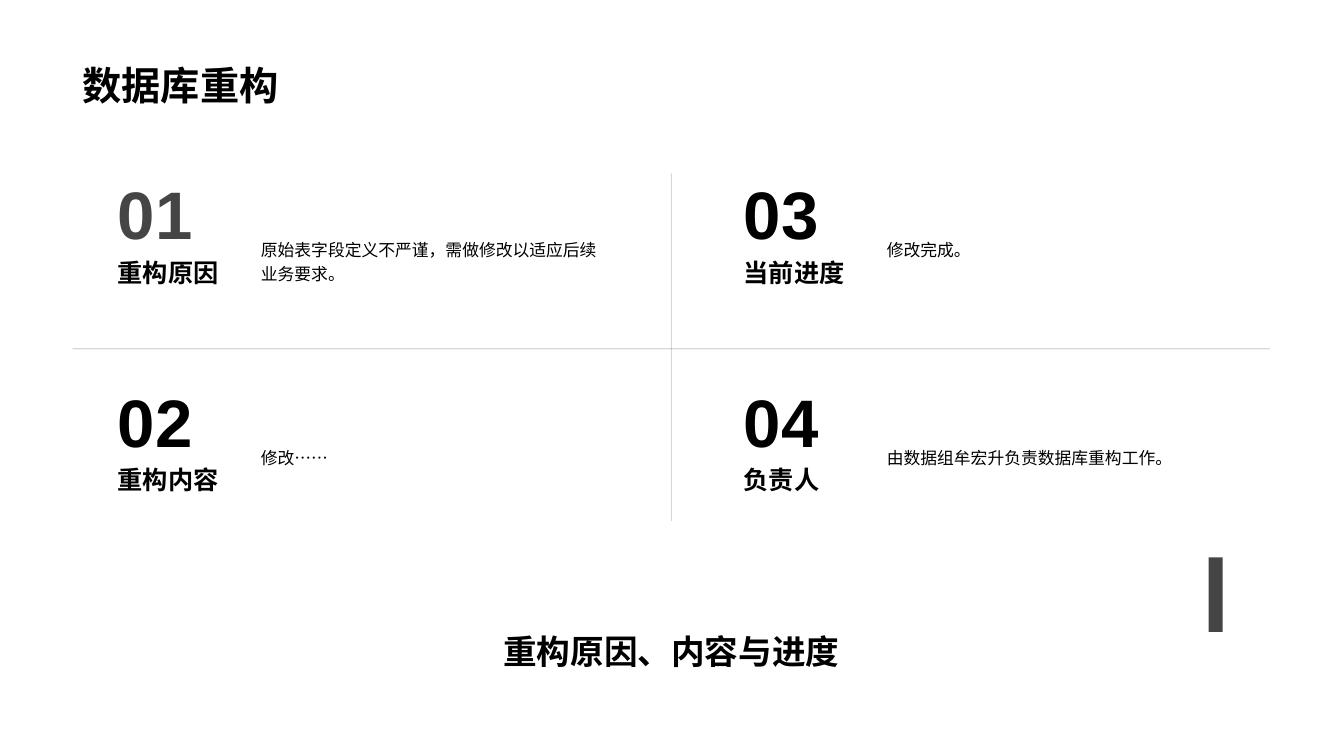
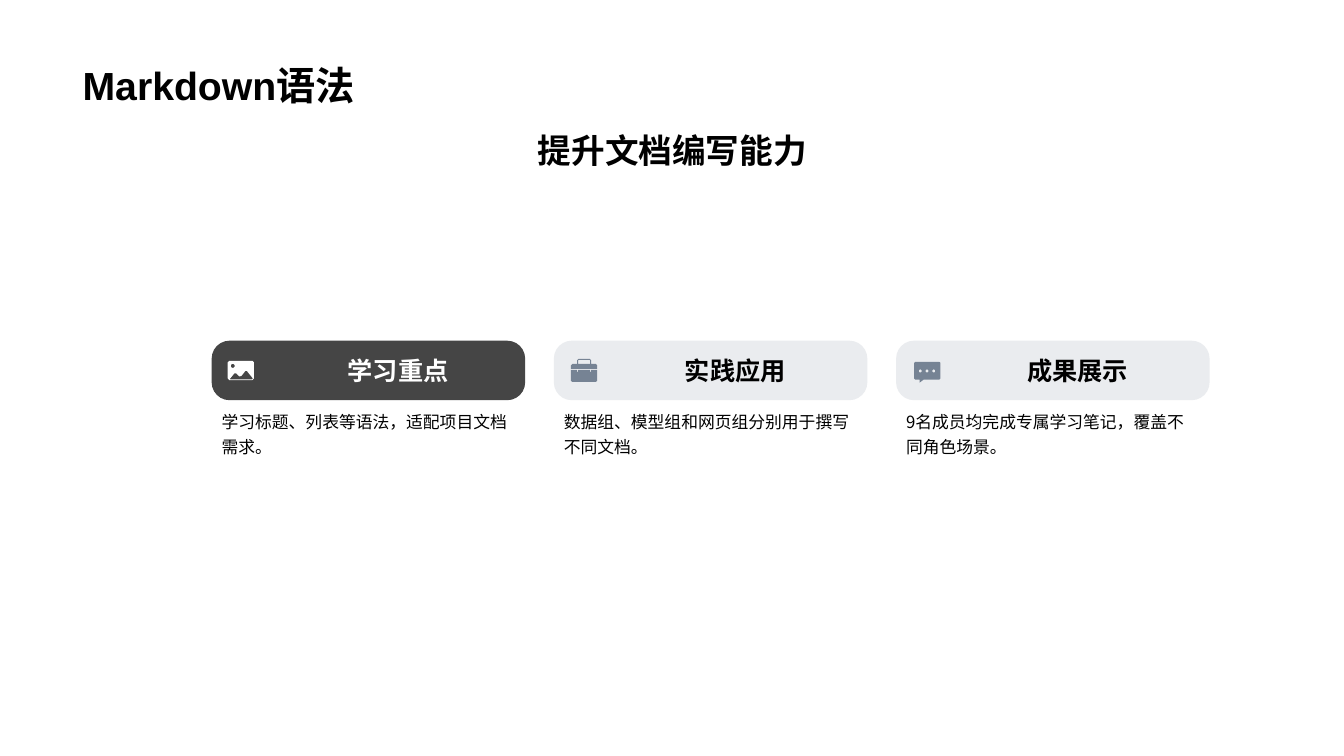
"""Build two project review slides: database refactoring and Markdown syntax."""
from dataclasses import dataclass
from math import cos, pi, sin

from lxml.etree import SubElement
from pptx import Presentation
from pptx.dml.color import RGBColor
from pptx.enum.shapes import MSO_CONNECTOR, MSO_SHAPE
from pptx.enum.text import MSO_ANCHOR, MSO_AUTO_SIZE, PP_ALIGN
from pptx.oxml.ns import qn
from pptx.util import Inches, Pt


@dataclass(frozen=True)
class Theme:
    """Colours, fonts and type sizes shared by the slides."""
    black: RGBColor = RGBColor(0x00, 0x00, 0x00)
    white: RGBColor = RGBColor(0xFF, 0xFF, 0xFF)
    accent: RGBColor = RGBColor(0x45, 0x45, 0x45)
    slate: RGBColor = RGBColor(0x76, 0x83, 0x94)
    rule: RGBColor = RGBColor(0x80, 0x80, 0x80)
    font: str = "Arial"
    chinese_font: str = "Noto Sans CJK SC"
    title: int = 28
    headline: int = 24
    number: int = 48
    heading: int = 18
    body: int = 12


THEME = Theme()


def circle(center_x, center_y, radius, steps=16):
    """Return the corners of a polygon that stands for a circle."""
    angles = [2 * pi * step / steps for step in range(steps)]
    return [(round(center_x + radius * cos(angle)), round(center_y + radius * sin(angle)))
            for angle in angles]


PICTURE_ICON = [
    [(15, 0), (245, 0), (260, 15), (260, 175), (245, 190), (15, 190), (0, 175), (0, 15)],
    [(20, 180), (65, 125), (85, 125), (115, 155), (135, 150), (175, 100), (190, 100),
     (250, 175), (240, 184), (25, 184)],
    circle(50, 50, 20),
]
BRIEFCASE_ICON = [
    [(0, 110), (60, 110), (60, 130), (70, 130), (70, 110), (190, 110), (190, 130),
     (200, 130), (200, 110), (260, 110), (260, 220), (245, 230), (15, 230), (0, 220)],
    [(0, 100), (0, 65), (15, 50), (60, 50), (60, 15), (75, 0), (185, 0), (200, 15),
     (200, 50), (245, 50), (260, 65), (260, 100)],
    [(70, 50), (70, 15), (80, 10), (180, 10), (190, 15), (190, 50)],
]
SPEECH_ICON = [
    [(10, 0), (250, 0), (260, 10), (260, 165), (250, 175), (95, 175), (55, 205),
     (55, 175), (10, 175), (0, 165), (0, 10)],
    *[circle(center_x, 90, 15) for center_x in (60, 127, 194)],
]

REFACTORING = {
    "title": "数据库重构",
    "headline": "重构原因、内容与进度",
    "quadrants": [
        ("重构原因", "原始表字段定义不严谨，需做修改以适应后续业务要求。"),
        ("重构内容", "修改……"),
        ("当前进度", "修改完成。"),
        ("负责人", "由数据组牟宏升负责数据库重构工作。"),
    ],
}
MARKDOWN = {
    "title": "Markdown语法",
    "headline": "提升文档编写能力",
    "cards": [
        ("学习重点", "学习标题、列表等语法，适配项目文档需求。", THEME.font, PICTURE_ICON, (0.16, 0.2)),
        ("实践应用", "数据组、模型组和网页组分别用于撰写不同文档。", THEME.font, BRIEFCASE_ICON, (0.17, 0.18)),
        ("成果展示", "9名成员均完成专属学习笔记，覆盖不同角色场景。", THEME.chinese_font, SPEECH_ICON, (0.18, 0.21)),
    ],
}


def inches(*lengths):
    """Convert several lengths to slide units."""
    return [Inches(length) for length in lengths]


def write(shape, text, size, color=THEME.black, bold=True, align=PP_ALIGN.LEFT,
          anchor=MSO_ANCHOR.TOP, spacing=1.0, font=THEME.font, wrap=True):
    """Put one formatted paragraph into a shape."""
    frame = shape.text_frame
    frame.word_wrap = wrap
    frame.auto_size = MSO_AUTO_SIZE.NONE
    frame.vertical_anchor = anchor
    paragraph = frame.paragraphs[0]
    paragraph.alignment = align
    paragraph.line_spacing = spacing
    run = paragraph.add_run()
    run.text = text
    run.font.size = Pt(size)
    run.font.bold = bold
    run.font.color.rgb = color
    run.font.name = font
    properties = run.font._element
    SubElement(properties, qn("a:ea")).set("typeface", THEME.chinese_font)


def add_text(slide, box, text, size, **style):
    """Add a text box at box (left, top, width, height)."""
    write(slide.shapes.add_textbox(*inches(*box)), text, size, **style)


def set_opacity(shape, percent):
    """Make the first colour of a shape partly transparent."""
    color = next(shape._element.spPr.iter(qn("a:srgbClr")))
    SubElement(color, qn("a:alpha")).set("val", str(percent * 1000))


def paint(shape, color=None):
    """Give a shape a plain fill, or none, without line or shadow."""
    shape.shadow.inherit = False
    shape.line.fill.background()
    if color is None:
        shape.fill.background()
    else:
        shape.fill.solid()
        shape.fill.fore_color.rgb = color


def add_rounded(slide, box, rounding, color=None):
    """Add a rounded rectangle at box (left, top, width, height)."""
    shape = slide.shapes.add_shape(MSO_SHAPE.ROUNDED_RECTANGLE, *inches(*box))
    shape.adjustments[0] = rounding
    paint(shape, color)
    return shape


def add_rule(slide, start, end):
    """Add a faint dividing line."""
    line = slide.shapes.add_connector(MSO_CONNECTOR.STRAIGHT, *inches(*start, *end))
    line.line.color.rgb = THEME.rule
    line.line.width = Pt(0.75)
    set_opacity(line, 30)
    SubElement(line._element.spPr, qn("a:effectLst"))


def add_icon(slide, contours, left, top, color):
    """Draw an icon whose contours are in thousandths of an inch."""
    first, *others = contours
    builder = slide.shapes.build_freeform(*first[0], scale=Inches(1) / 1000)
    builder.add_line_segments(first[1:], close=True)
    for contour in others:
        builder.move_to(*contour[0])
        builder.add_line_segments(contour[1:], close=True)
    paint(builder.convert_to_shape(*inches(left, top)), color)


def add_titled_slide(presentation, layout, title):
    """Add a slide with the shared title style."""
    slide = presentation.slides.add_slide(layout)
    write(slide.shapes.title, title, THEME.title, anchor=MSO_ANCHOR.BOTTOM)
    return slide


def build_refactoring(presentation, layout):
    """Build the slide with four numbered quadrants."""
    slide = add_titled_slide(presentation, layout, REFACTORING["title"])
    add_rule(slide, (0.72, 3.46), (12.6, 3.46))
    add_rule(slide, (6.66, 1.72), (6.66, 5.17))
    add_text(slide, (0.72, 5.6, 11.88, 1.11), REFACTORING["headline"], THEME.headline,
             align=PP_ALIGN.CENTER, anchor=MSO_ANCHOR.BOTTOM)
    accent_bar = slide.shapes.add_shape(MSO_SHAPE.RECTANGLE, *inches(11.99, 5.53, 0.14, 0.74))
    paint(accent_bar, THEME.accent)
    for index, (heading, detail) in enumerate(REFACTORING["quadrants"]):
        column, row = divmod(index, 2)
        left, top = 1.07 + 6.21 * column, 1.87 + 2.06 * row
        number = add_rounded(slide, (left, top, 1.05, 0.48), 0)
        write(number, f"{index + 1:02}", THEME.number, wrap=False,
              color=THEME.black if index else THEME.accent, anchor=MSO_ANCHOR.MIDDLE)
        add_text(slide, (left, top + 0.63, 1.41, 0.71), heading, THEME.heading)
        add_text(slide, (left + 1.42, top + 0.42, 3.56, 0.97), detail, THEME.body,
                 bold=False, spacing=1.2)


def build_markdown(presentation, layout):
    """Build the slide with three cards in a row."""
    slide = add_titled_slide(presentation, layout, MARKDOWN["title"])
    add_text(slide, (0.74, 1.24, 11.86, 1.56), MARKDOWN["headline"], THEME.headline,
             align=PP_ALIGN.CENTER)
    row_left, row_right, top, width, height = 2.1, 12.0, 3.38, 3.11, 0.59
    cards = MARKDOWN["cards"]
    step = (row_right - row_left - width) / (len(cards) - 1)
    for index, (heading, detail, font, icon, (icon_x, icon_y)) in enumerate(cards):
        left, active = row_left + step * index, index == 0
        card = add_rounded(slide, (left, top, width, height), 0.3,
                           THEME.accent if active else THEME.slate)
        if not active:
            set_opacity(card, 15)
        frame = card.text_frame
        frame.margin_left, frame.margin_right = inches(0.59, 0 if active else 0.1)
        frame.margin_top = frame.margin_bottom = 0
        write(card, heading, THEME.heading, color=THEME.white if active else THEME.black,
              align=PP_ALIGN.CENTER, anchor=MSO_ANCHOR.MIDDLE)
        add_icon(slide, icon, left + icon_x, top + icon_y,
                 THEME.white if active else THEME.slate)
        add_text(slide, (left, top + 0.62, width, 2.46), detail, THEME.body,
                 bold=False, spacing=1.2, font=font)


def main():
    """Set up the shared layout and save both slides."""
    presentation = Presentation()
    presentation.slide_width = Inches(40) // 3
    presentation.slide_height = Inches(7.5)
    layout = presentation.slide_layouts.get_by_name("Title Only")
    title = layout.placeholders[0]
    title.left, title.top, title.width, title.height = inches(0.72, 0.15, 11.88, 0.98)
    build_refactoring(presentation, layout)
    build_markdown(presentation, layout)
    presentation.save("out.pptx")


if __name__ == "__main__":
    main()
